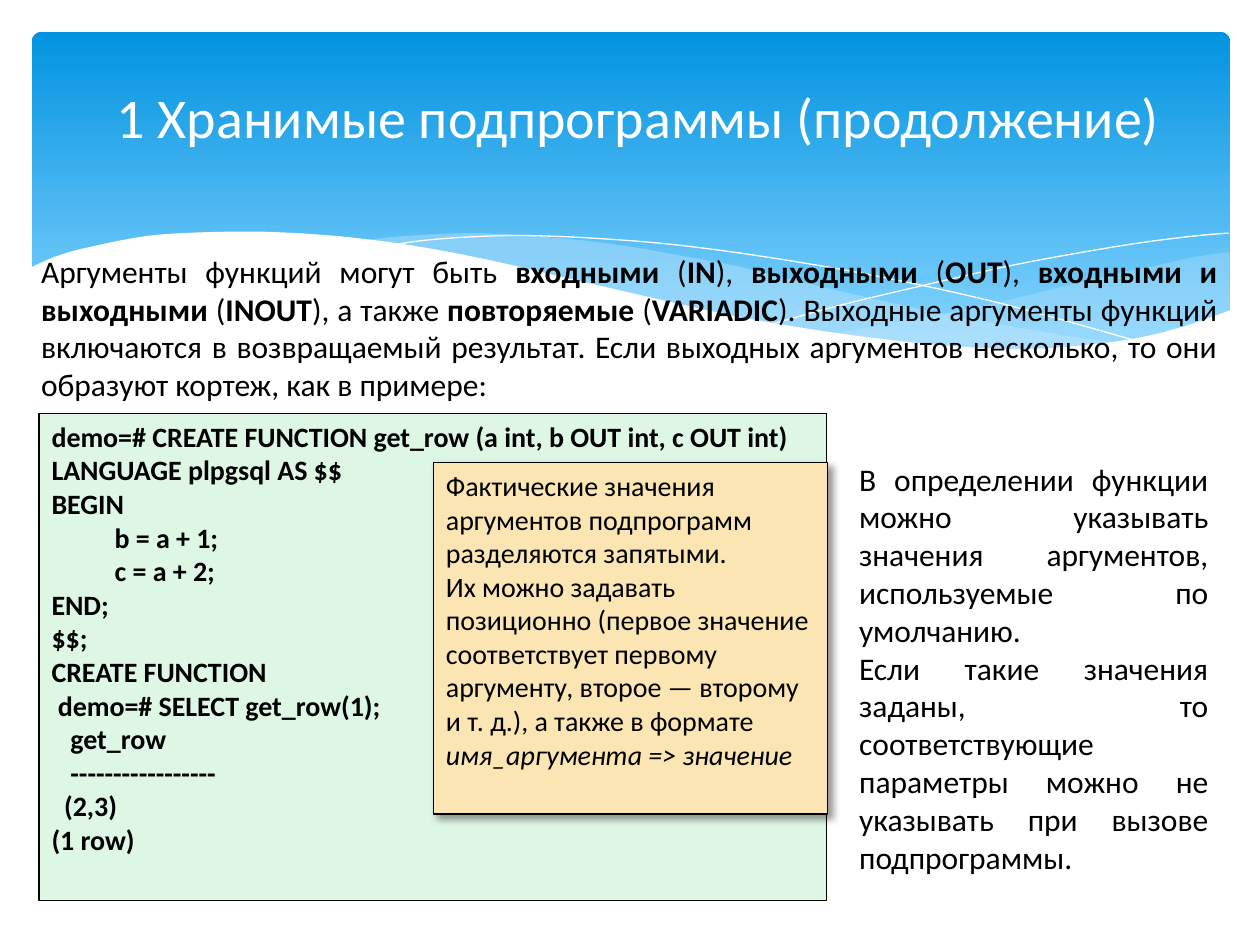
from lxml.etree import SubElement
from pptx import Presentation
from pptx.dml.color import RGBColor
from pptx.enum.shapes import MSO_SHAPE
from pptx.enum.text import MSO_ANCHOR, PP_ALIGN
from pptx.oxml.ns import qn
from pptx.util import Cm, Pt

TITLE = [[("1 Хранимые подпрограммы (продолжение) ", "")]]
INTRO = [[
    ("Аргументы функций могут быть ", ""), ("входными", "b"), (" (", ""), ("IN", "b"),
    ("), ", ""), ("выходными", "b"), (" (", ""), ("OUT", "b"), ("), ", ""),
    ("входными и выходными", "b"), (" (", ""), ("INOUT", "b"), ("), а также ", ""),
    ("повторяемые ", "b"), ("(", ""), ("VARIADIC", "b"),
    ("). Выходные аргументы функций включаются в возвращаемый результат. "
     "Если выходных аргументов несколько, то они образуют кортеж, как в примере:", ""),
]]
CODE = [[(line, "b")] for line in (
    "demo=# CREATE FUNCTION get_row (a int, b OUT int, c OUT int) ",
    "LANGUAGE plpgsql AS $$",
    "BEGIN",
    "          b = a + 1; ",
    "          c = a + 2; ",
    "END; ",
    "$$;",
    "CREATE FUNCTION",
    " demo=# SELECT get_row(1);",
    "   get_row",
    "   ----------------- ",
    "  (2,3) ",
    "(1 row)",
)]
NOTE = [
    [("Фактические значения аргументов подпрограмм разделяются запятыми.", "")],
    [("Их можно задавать позиционно (первое значение соответствует первому аргументу, "
      "второе — второму и т. д.), а также в формате ", ""), ("имя_аргумента => значение", "i")],
]
DEFAULTS = [
    [("В определении функции можно указывать значения аргументов, "
      "используемые по умолчанию. ", "")],
    [("Если такие значения заданы, то соответствующие параметры можно не указывать "
      "при вызове подпрограммы. ", "")],
]

WAVE_UNIT = Cm(0.0254)
CURVE_STEPS = 6
RIGHT_WAVE = [
    [(976, 200), (948, 204), (921, 210), (891, 216), (861, 223), (805, 237), (753, 248),
     (706, 257), (661, 265)],
    [(661, 265), (691, 269), (732, 274), (769, 277), (803, 278), (835, 277), (872, 274),
     (905, 269), (935, 262), (963, 252), (976, 247)],
]
MIDDLE_WAVE = [
    [(893, 273), (837, 265), (775, 254), (706, 240), (629, 222), (584, 211), (541, 203),
     (502, 196), (465, 191), (420, 187), (380, 185), (344, 186), (313, 188), (286, 191)],
    [(286, 191), (323, 196), (362, 203), (404, 211), (449, 222), (530, 240), (601, 255),
     (665, 266), (722, 274), (773, 277), (818, 278), (857, 277), (893, 273)],
]
FALLING_LINE = [
    [(309, 195), (335, 191), (374, 188), (416, 187), (469, 189), (533, 194), (608, 204),
     (695, 219), (795, 241), (907, 272)],
]
RISING_LINE = [
    [(613, 257), (672, 241), (748, 223), (806, 210), (866, 199), (910, 192), (951, 187),
     (975, 185)],
]
WHITE_WAVE = [
    [(977, 246), (940, 259), (899, 269), (850, 275), (809, 277), (761, 275), (708, 270),
     (648, 262), (579, 250), (503, 233), (447, 220), (391, 207), (340, 197), (292, 190),
     (250, 186), (211, 184), (177, 184), (146, 185), (119, 187), (95, 191), (76, 195),
     (59, 199), (46, 203), (36, 207), (23, 213)],
    [(23, 329), (977, 329)],
]
WAVES = [
    (RIGHT_WAVE, "C6E7FC", 29),
    (MIDDLE_WAVE, "C6E7FC", 40),
    (FALLING_LINE, None, 100),
    (RISING_LINE, None, 100),
    (WHITE_WAVE, "FFFFFF", 100),
]


def color(value):
    return RGBColor.from_string(value)


def smooth_curve(knots):
    points = [knots[0]]
    padded = [knots[0], *knots, knots[-1]]
    for a, b, c, d in zip(padded, padded[1:], padded[2:], padded[3:]):
        for step in range(1, CURVE_STEPS + 1):
            t = step / CURVE_STEPS
            points.append(tuple(
                0.5 * (2 * q + (r - p) * t + (2 * p - 5 * q + 4 * r - s) * t ** 2
                       + (3 * q - p - 3 * r + s) * t ** 3)
                for p, q, r, s in zip(a, b, c, d)))
    return points


def add_wave(shapes, curves, fill, opacity):
    points = [(x * WAVE_UNIT, y * WAVE_UNIT)
              for curve in curves for x, y in smooth_curve(curve)]
    builder = shapes.build_freeform(*points[0])
    builder.add_line_segments(points[1:], close=fill is not None)
    wave = builder.convert_to_shape()
    wave.shadow.inherit = False
    if fill is None:
        wave.fill.background()
        wave.line.color.rgb = color("FFFFFF")
        wave.line.width = Pt(0)
        return
    wave.line.fill.background()
    wave.fill.solid()
    wave.fill.fore_color.rgb = color(fill)
    tint = wave.fill._xPr.find(qn("a:solidFill"))[0]
    SubElement(tint, qn("a:alpha"), val=str(opacity * 1000))


def add_header(shapes):
    header = shapes.add_shape(MSO_SHAPE.ROUNDED_RECTANGLE,
                              Cm(0.64), Cm(0.64), Cm(24.16), Cm(6.86))
    header.adjustments[0] = 0.03
    header.shadow.inherit = False
    header.line.fill.background()
    header.fill.gradient()
    header.fill.gradient_angle = 270
    stops = zip(header.fill.gradient_stops, ((0, "0293E0"), (0.9, "83D3FE")))
    for stop, (position, tint) in stops:
        stop.position = position
        stop.color.rgb = color(tint)


def write(shape, paragraphs, size, align, tint="000000"):
    frame = shape.text_frame
    frame.word_wrap = True
    frame.vertical_anchor = MSO_ANCHOR.TOP
    for index, runs in enumerate(paragraphs):
        paragraph = frame.add_paragraph() if index else frame.paragraphs[0]
        paragraph.alignment = align
        for text, style in runs:
            run = paragraph.add_run()
            run.text = text
            run.font.name = "Calibri"
            run.font.size = Pt(size)
            run.font.bold = style == "b"
            run.font.italic = style == "i"
            run.font.color.rgb = color(tint)
    return frame


def add_text(shapes, place, *content):
    return write(shapes.add_textbox(*map(Cm, place)), *content)


def add_panel(shapes, place, fill, *content):
    panel = shapes.add_shape(MSO_SHAPE.RECTANGLE, *map(Cm, place))
    panel.shadow.inherit = False
    panel.fill.solid()
    panel.fill.fore_color.rgb = color(fill)
    panel.line.color.rgb = color("000000")
    panel.line.width = Pt(0.75)
    write(panel, *content)
    return panel


def cast_shadow(panel):
    effects = panel._element.spPr.find(qn("a:effectLst"))
    shadow = SubElement(effects, qn("a:outerShdw"), blurRad=str(Pt(4)), dist=str(Pt(3)),
                        dir="2700000", algn="tl", rotWithShape="0")
    black = SubElement(shadow, qn("a:srgbClr"), val="000000")
    SubElement(black, qn("a:alpha"), val="40000")


def main():
    deck = Presentation()
    deck.slide_width, deck.slide_height = Cm(25.4), Cm(19.05)
    shapes = deck.slides.add_slide(deck.slide_layouts[6]).shapes

    add_header(shapes)
    for wave in WAVES:
        add_wave(shapes, *wave)

    title = add_text(shapes, (1.19, 1.57, 23.62, 2.44), TITLE, 32, PP_ALIGN.CENTER, "FFFFFF")
    title.margin_left = title.margin_right = title.margin_bottom = 0
    title.margin_top = Cm(0.1)

    add_text(shapes, (0.58, 4.95, 24.21, 3.33), INTRO, 18, PP_ALIGN.JUSTIFY)
    add_panel(shapes, (0.79, 8.33, 15.88, 9.83), "DEF6E4", CODE, 16, PP_ALIGN.JUSTIFY)
    note = add_panel(shapes, (8.74, 9.32, 7.95, 7.09), "FBE6B3", NOTE, 16, PP_ALIGN.LEFT)
    cast_shadow(note)
    add_text(shapes, (17.07, 9.14, 7.54, 8.71), DEFAULTS, 18, PP_ALIGN.JUSTIFY)

    deck.save("out.pptx")


if __name__ == "__main__":
    main()
